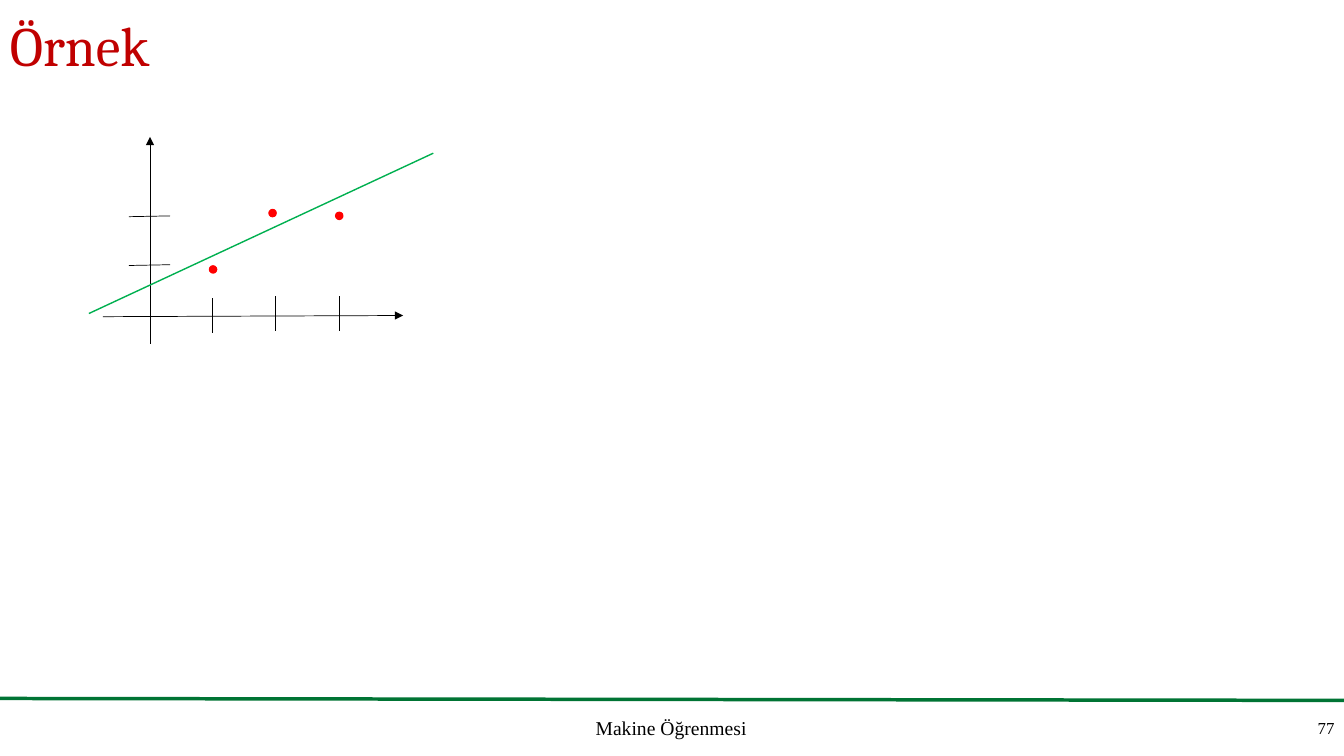
"""Build a regression example slide: axes, three samples and a fitted line."""
from typing import NamedTuple

from lxml import etree
from pptx import Presentation
from pptx import util as u
from pptx.dml import color
from pptx.enum import shapes, text
from pptx.oxml import ns

GREEN, BLACK, RED = "007434", "000000", "FF0000"
DOT_SIZE = 0.18


class Line(NamedTuple):
    x1: float
    y1: float
    x2: float
    y2: float
    hue: str = BLACK
    width: float = 0.5
    arrow: bool = False


class Dot(NamedTuple):
    left: float
    top: float


class Label(NamedTuple):
    left: float
    top: float
    width: float
    height: float
    words: str
    font: str
    size: float
    hue: str = BLACK
    align: text.PP_ALIGN = text.PP_ALIGN.LEFT
    spacing: float = 1.0


LABELS = (
    Label(0, 0.58, 33.87, 1.27, "Örnek", "Cambria", 39.6, "C00000", spacing=0.9),
    Label(32.46, 17.65, 1.42, 1.4, "77", "Times New Roman", 12,
          align=text.PP_ALIGN.RIGHT),
    Label(14.76, 17.91, 4.37, 0.86, "Makine Öğrenmesi", "Times New Roman", 14,
          align=text.PP_ALIGN.JUSTIFY),
)
FOOTER_RULE = Line(0, 17.6, 33.87, 17.65, GREEN, 2.5)
AXES = (
    Line(3.78, 8.66, 3.78, 3.45, arrow=True),
    Line(2.59, 7.98, 10.16, 7.95, arrow=True),
)
X_TICKS = tuple(
    Line(5.36 + 1.59 * step, bottom, 5.36 + 1.59 * step, bottom - 0.86)
    for step, bottom in enumerate((8.38, 8.33, 8.33))
)
Y_TICKS = tuple(Line(3.25, y, 4.29, y - 0.02) for y in (6.69, 5.46))
SAMPLES = (Dot(5.28, 6.7), Dot(6.78, 5.28), Dot(8.46, 5.35))
FITTED_LINE = Line(2.24, 7.9, 10.92, 3.86, "00B050", 1)


def rgb(value: str) -> color.RGBColor:
    return color.RGBColor.from_string(value)


def draw_line(slide, line: Line) -> None:
    ends = (u.Cm(value) for value in line[:4])
    connector = slide.shapes.add_connector(shapes.MSO_CONNECTOR.STRAIGHT, *ends)
    connector.line.color.rgb = rgb(line.hue)
    connector.line.width = u.Pt(line.width)
    if line.arrow:
        outline = connector.line._get_or_add_ln()
        etree.SubElement(outline, ns.qn("a:tailEnd"), type="triangle")
    etree.SubElement(connector._element.spPr, ns.qn("a:effectLst"))


def draw_dot(slide, dot: Dot) -> None:
    sample = slide.shapes.add_shape(
        shapes.MSO_SHAPE.FLOWCHART_CONNECTOR,
        u.Cm(dot.left), u.Cm(dot.top), u.Cm(DOT_SIZE), u.Cm(DOT_SIZE))
    sample.shadow.inherit = False
    sample.fill.solid()
    sample.fill.fore_color.rgb = rgb(RED)
    sample.line.color.rgb = rgb(RED)
    sample.line.width = u.Pt(1)


def draw_label(slide, label: Label) -> None:
    frame = slide.shapes.add_textbox(*(u.Cm(value) for value in label[:4])).text_frame
    frame.word_wrap = True
    frame.vertical_anchor = text.MSO_ANCHOR.MIDDLE
    paragraph = frame.paragraphs[0]
    paragraph.text = label.words
    paragraph.alignment = label.align
    paragraph.line_spacing = label.spacing
    paragraph.font.name = label.font
    paragraph.font.size = u.Pt(label.size)
    paragraph.font.color.rgb = rgb(label.hue)


def main() -> None:
    deck = Presentation()
    deck.slide_width, deck.slide_height = u.Cm(33.87), u.Cm(19.05)
    slide = deck.slides.add_slide(deck.slide_layouts[6])
    for label in LABELS:
        draw_label(slide, label)
    for line in (FOOTER_RULE, *AXES, *X_TICKS, *Y_TICKS):
        draw_line(slide, line)
    for dot in SAMPLES:
        draw_dot(slide, dot)
    draw_line(slide, FITTED_LINE)
    deck.save("out.pptx")


if __name__ == "__main__":
    main()
